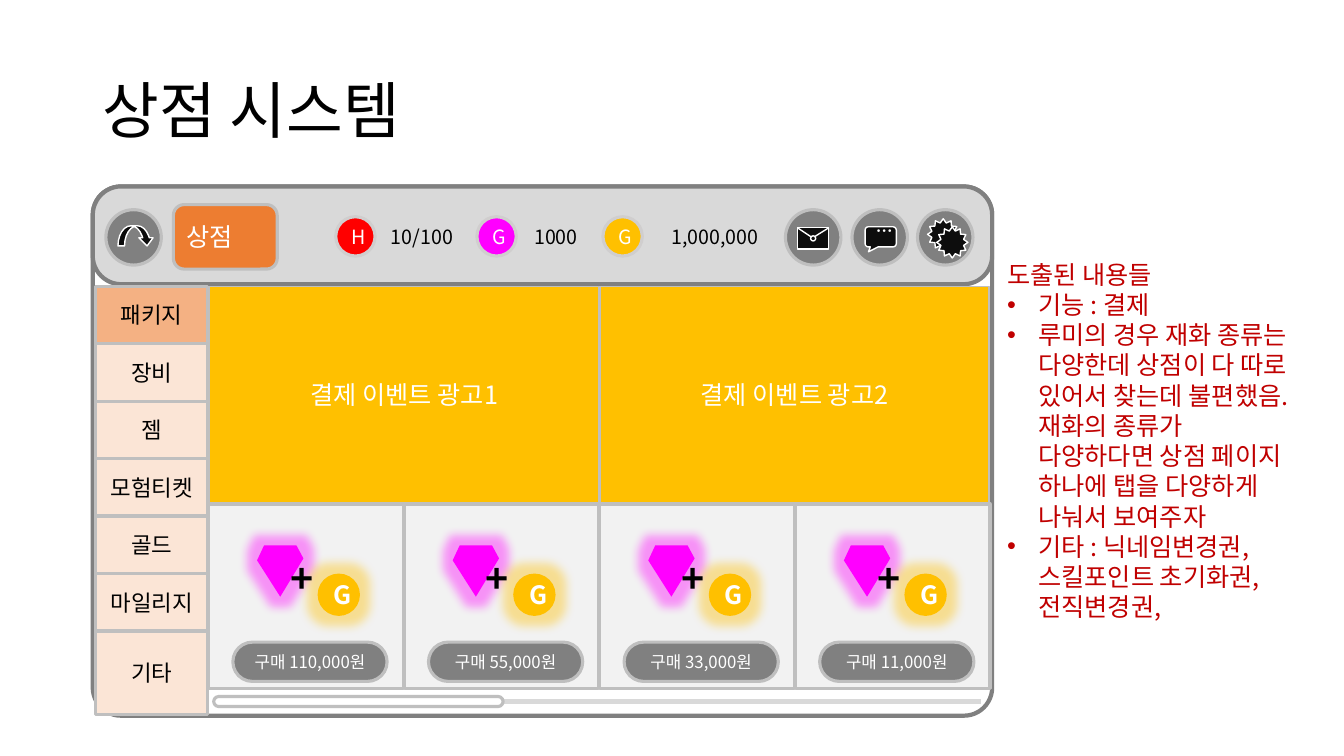
from lxml import etree
from pptx import Presentation
from pptx import util as u
from pptx.dml.color import RGBColor
from pptx.enum import shapes, text
from pptx.oxml.ns import qn

FONT = "Noto Sans CJK KR"
C = {
    "black": "000000", "white": "FFFFFF", "ink": "0D0D0D", "gray": "808080",
    "bar": "D9D9D9", "edge": "BFBFBF", "ring": "D0CECE", "card": "F2F2F2",
    "red": "FF0000", "pink": "FF00FF", "gold": "FFC000", "orange": "ED7D31",
    "tab_on": "F4B183", "tab_off": "FBE5D6", "note": "C00000",
}
S = shapes.MSO_SHAPE
A = text.PP_ALIGN
V = text.MSO_ANCHOR

prs = Presentation()
prs.slide_width, prs.slide_height = u.Inches(13.33), u.Inches(7.5)
s = prs.slides.add_slide(prs.slide_layouts[6])


def add_box(kind, x, y, w, h, fill=None, line=None, width=1, adj=()):
    pos = [u.Inches(n) for n in (x, y, w, h)]
    if kind is None:
        return s.shapes.add_textbox(*pos)
    sp = s.shapes.add_shape(kind, *pos)
    sp.shadow.inherit = False
    for i, value in enumerate(adj):
        sp.adjustments[i] = value
    if fill:
        sp.fill.solid()
        sp.fill.fore_color.rgb = RGBColor.from_string(C[fill])
    else:
        sp.fill.background()
    if line:
        sp.line.color.rgb = RGBColor.from_string(C[line])
        sp.line.width = u.Pt(width)
    else:
        sp.line.fill.background()
    return sp


def write(sp, lines, size, color="white", align=A.CENTER, anchor=V.MIDDLE, bold=False, wrap=True):
    tf = sp.text_frame
    tf.word_wrap = wrap
    tf.vertical_anchor = anchor
    for i, line in enumerate(lines):
        p = tf.paragraphs[0] if i == 0 else tf.add_paragraph()
        p.alignment = align
        r = p.add_run()
        r.text = line
        r.font.size = u.Pt(size)
        r.font.bold = bold
        r.font.name = FONT
        r.font.color.rgb = RGBColor.from_string(C[color])
        etree.SubElement(r.font._element, qn("a:ea")).set("typeface", FONT)
    return tf


title = write(add_box(None, 0.92, 0.4, 11.5, 1.45), ["상점 시스템"], 44, "black", A.LEFT)
title.paragraphs[0].line_spacing = 0.9

add_box(S.ROUNDED_RECTANGLE, 0.92, 1.85, 8.92, 5.25, None, "gray", 3, [0.053])
add_box(S.ROUNDED_RECTANGLE, 0.92, 1.85, 8.92, 0.97, "bar", "gray", 3, [0.291])

for x, letter, fill, label_x, label_w, amount in [
    (3.33, "H", "red", 3.78, 0.86, "10/100"),
    (4.73, "G", "pink", 5.2, 0.66, "1000"),
    (5.98, "G", "gold", 6.56, 1.12, "1,000,000"),
]:
    write(add_box(S.OVAL, x, 2.15, 0.39, 0.39, fill, "ring", 2.25), [letter], 14)
    write(add_box(None, label_x, 2.18, label_w, 0.34), [amount], 14, "black",
          A.LEFT, V.TOP, wrap=False)

shop = add_box(S.ROUNDED_RECTANGLE, 1.72, 2.03, 1.03, 0.64, "orange", "edge", 2.25)
write(shop, ["상점"], 18, align=A.LEFT)

for x in (1.05, 7.79, 8.45, 9.1):
    add_box(S.OVAL, x, 2.08, 0.55, 0.55, "gray", "edge", 2.25)
add_box(S.CURVED_DOWN_ARROW, 1.17, 2.24, 0.36, 0.2, "ink", "white", 1, [0.328, 0.707, 0.404])
add_box(S.RECTANGLE, 7.91, 2.26, 0.31, 0.21, "ink", "white")
chat = add_box(S.ROUNDED_RECTANGULAR_CALLOUT, 8.58, 2.25, 0.31, 0.2, "ink", "white", 1,
               [-0.389, 0.741, 0.167])
write(chat, ["…"], 12, anchor=V.BOTTOM, bold=True)
for x, y in [(9.2, 2.17), (9.29, 2.25)]:
    add_box(S.STAR_12_POINT, x, y, 0.31, 0.31, "ink", "white")

for x1, y1, x2, y2, color, width in [
    (7.91, 2.26, 8.06, 2.36, "white", 1),
    (8.06, 2.36, 8.22, 2.26, "white", 1),
    (2.12, 6.96, 9.73, 6.96, "bar", 3),
]:
    cx = s.shapes.add_connector(shapes.MSO_CONNECTOR.STRAIGHT,
                                *[u.Inches(n) for n in (x1, y1, x2, y2)])
    cx.line.color.rgb = RGBColor.from_string(C[color])
    cx.line.width = u.Pt(width)
    etree.SubElement(cx._element.spPr, qn("a:effectLst"))
add_box(S.OVAL, 8.04, 2.34, 0.05, 0.05, "ink", "white")
add_box(S.ROUNDED_RECTANGLE, 2.12, 6.91, 2.87, 0.1, "white", "edge", 2.25, [0.5])

tabs = ["패키지", "장비", "젬", "모험티켓", "골드", "마일리지", "기타"]
for i, name in enumerate(tabs):
    tab = add_box(S.RECTANGLE, 0.95, 2.84 + i * 0.57, 1.11, 0.83 if name == "기타" else 0.57,
                  "tab_on" if i == 0 else "tab_off", "edge", 2.25)
    write(tab, [name], 16, "black")

for i in range(2):
    ad = add_box(S.RECTANGLE, 2.08 + i * 3.87, 2.84, 3.86, 2.15, "gold", "edge")
    write(ad, [f"결제 이벤트 광고{i + 1}"], 18)

notes = write(add_box(None, 9.89, 2.52, 3.1, 3.43), [
    "도출된 내용들",
    "기능 : 결제",
    "루미의 경우 재화 종류는 다양한데 상점이 다 따로 있어서 찾는데 불편했음. "
    "재화의 종류가 다양하다면 상점 페이지 하나에 탭을 다양하게 나눠서 보여주자",
    "기타 : 닉네임변경권, 스킬포인트 초기화권, 전직변경권,",
], 18, "note", A.LEFT, V.TOP)
for p in notes.paragraphs[1:]:
    pPr = p._p.get_or_add_pPr()
    pPr.set("marL", str(u.Inches(0.31)))
    pPr.set("indent", str(u.Inches(-0.31)))
    etree.SubElement(pPr, qn("a:buFont")).set("typeface", "Arial")
    etree.SubElement(pPr, qn("a:buChar")).set("char", "•")

gem_points = [(0.94, 0.54), (0.71, 0.92), (0.48, 0.56), (0.55, 0.41), (0.87, 0.41)]
for i, price in enumerate(["110,000", "55,000", "33,000", "11,000"]):
    x = 2.07 + i * 1.94
    add_box(S.RECTANGLE, x, 5, 1.93, 1.83, "card", "edge", 2.25)

    points = [(u.Inches(x + dx), u.Inches(5 + dy)) for dx, dy in gem_points]
    outline = s.shapes.build_freeform(*points[0])
    outline.add_line_segments(points[1:], close=True)
    gem = outline.convert_to_shape()
    gem.shadow.inherit = False
    gem.fill.solid()
    gem.fill.fore_color.rgb = RGBColor.from_string(C["pink"])
    gem.line.fill.background()

    coin = add_box(S.OVAL, x + 1.08, 5.69, 0.42, 0.42, "gold")
    write(coin, ["G"], 18, bold=True)
    for sp, color in [(gem, "pink"), (coin, "gold")]:
        effects = sp._element.spPr.find(qn("a:effectLst"))
        glow = etree.SubElement(effects, qn("a:glow"), rad=str(u.Pt(14)))
        tint = etree.SubElement(glow, qn("a:srgbClr"), val=C[color])
        etree.SubElement(tint, qn("a:alpha"), val="40000")

    write(add_box(None, x + 0.71, 5.45, 0.48, 0.57), ["+"], 28, "black",
          A.LEFT, V.TOP, True, False)
    buy = add_box(S.ROUNDED_RECTANGLE, x + 0.24, 6.37, 1.53, 0.39, "gray", "edge", 2.25, [0.5])
    write(buy, [f"구매 {price}원"], 12)

prs.save("out.pptx")
